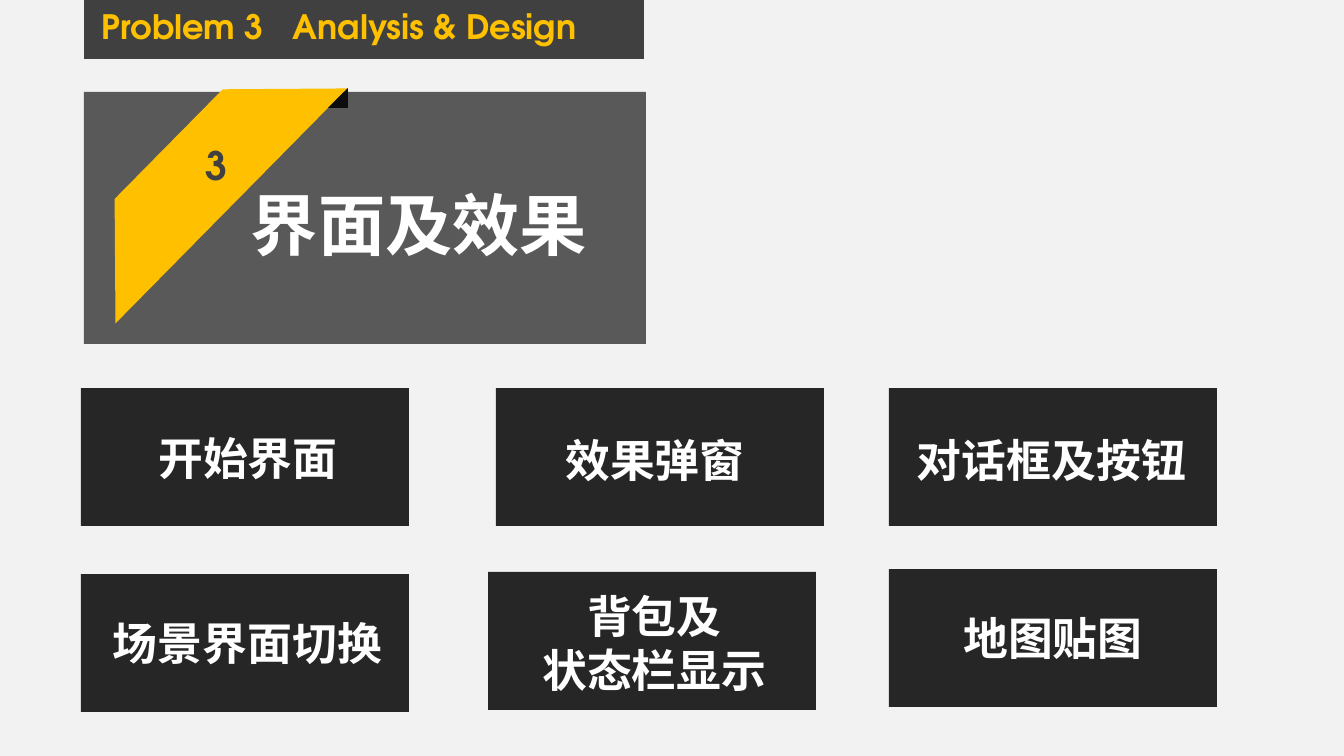
from lxml import etree
from pptx import Presentation
from pptx.dml.color import RGBColor
from pptx.enum.shapes import MSO_SHAPE
from pptx.enum.text import MSO_ANCHOR, PP_ALIGN
from pptx.oxml.ns import qn
from pptx.util import Pt

RECT = MSO_SHAPE.RECTANGLE
BAND = MSO_SHAPE.TRAPEZOID
FOLD = MSO_SHAPE.ISOSCELES_TRIANGLE
TOP = MSO_ANCHOR.TOP
MIDDLE = MSO_ANCHOR.MIDDLE
LEFT = PP_ALIGN.LEFT
CENTER = PP_ALIGN.CENTER

SCALE = 914400 / 100.8
FONT = "TeX Gyre Adventor"
WHITE = "FFFFFF"
GOLD = "FFC000"
SLATE = "404040"
CARD_SIZE = (328, 138)

CARDS = [
    ((81, 388), "开始界面", (147, 425, 202, 65)),
    ((496, 388), "效果弹窗", (477, 427, 356, 65)),
    ((889, 388), "对话框及按钮", (906, 427, 291, 65)),
    ((81, 574), "场景界面切换", (102, 610, 291, 65)),
    ((488, 572), "背包及\n状态栏显示", (531, 583, 247, 119)),
    ((889, 569), "地图贴图", (889, 569, 328, 138)),
]


def px(n):
    return round(n * SCALE)


def color(code):
    return RGBColor.from_string(code)


def add_block(slide, kind, box, fill, adjust=None, turn=0):
    shape = slide.shapes.add_shape(kind, *map(px, box))
    shape.shadow.inherit = False
    shape.fill.solid()
    shape.fill.fore_color.rgb = color(fill)
    shape.line.fill.background()
    if adjust is not None:
        shape.adjustments[0] = adjust
    shape.rotation = turn


def add_label(slide, box, text, size, ink=WHITE, align=CENTER, anchor=MIDDLE):
    frame = slide.shapes.add_textbox(*map(px, box)).text_frame
    frame.word_wrap = False
    frame.vertical_anchor = anchor
    frame.text = text
    for para in frame.paragraphs:
        para.alignment = align
        for run in para.runs:
            run.font.name = FONT
            run.font.size = Pt(size)
            run.font.bold = True
            run.font.color.rgb = color(ink)
    return frame


def add_tab(para, pos):
    tabs = etree.SubElement(para._p.get_or_add_pPr(), qn("a:tabLst"))
    etree.SubElement(tabs, qn("a:tab"), pos=str(px(pos)), algn="l")


def add_header(slide):
    add_block(slide, RECT, (84, 0, 560, 59), SLATE)
    frame = add_label(slide, (92, 6, 506, 50), "Problem 3\tAnalysis & Design",
                      24, GOLD, LEFT, TOP)
    frame.word_wrap = True
    para = frame.paragraphs[0]
    para.line_spacing = 0.9
    add_tab(para, 191)


def add_banner(slide):
    add_block(slide, RECT, (84, 92, 562, 252), "595959")
    add_block(slide, BAND, (35, 131, 330, 88), GOLD, 1.0, 314.6)
    add_block(slide, FOLD, (328, 88, 20, 20), "0D0D0D", 1)
    add_label(slide, (196, 136, 42, 57), "3", 28, SLATE, LEFT)
    add_label(slide, (239, 178, 360, 92), "界面及效果", 48)


def main():
    deck = Presentation()
    deck.slide_width = px(1344)
    deck.slide_height = px(756)
    slide = deck.slides.add_slide(deck.slide_layouts[6])
    slide.background.fill.solid()
    slide.background.fill.fore_color.rgb = color("F2F2F2")
    add_header(slide)
    add_banner(slide)
    for spot, text, box in CARDS:
        add_block(slide, RECT, spot + CARD_SIZE, "262626")
        add_label(slide, box, text, 32)
    deck.save("out.pptx")


if __name__ == "__main__":
    main()
